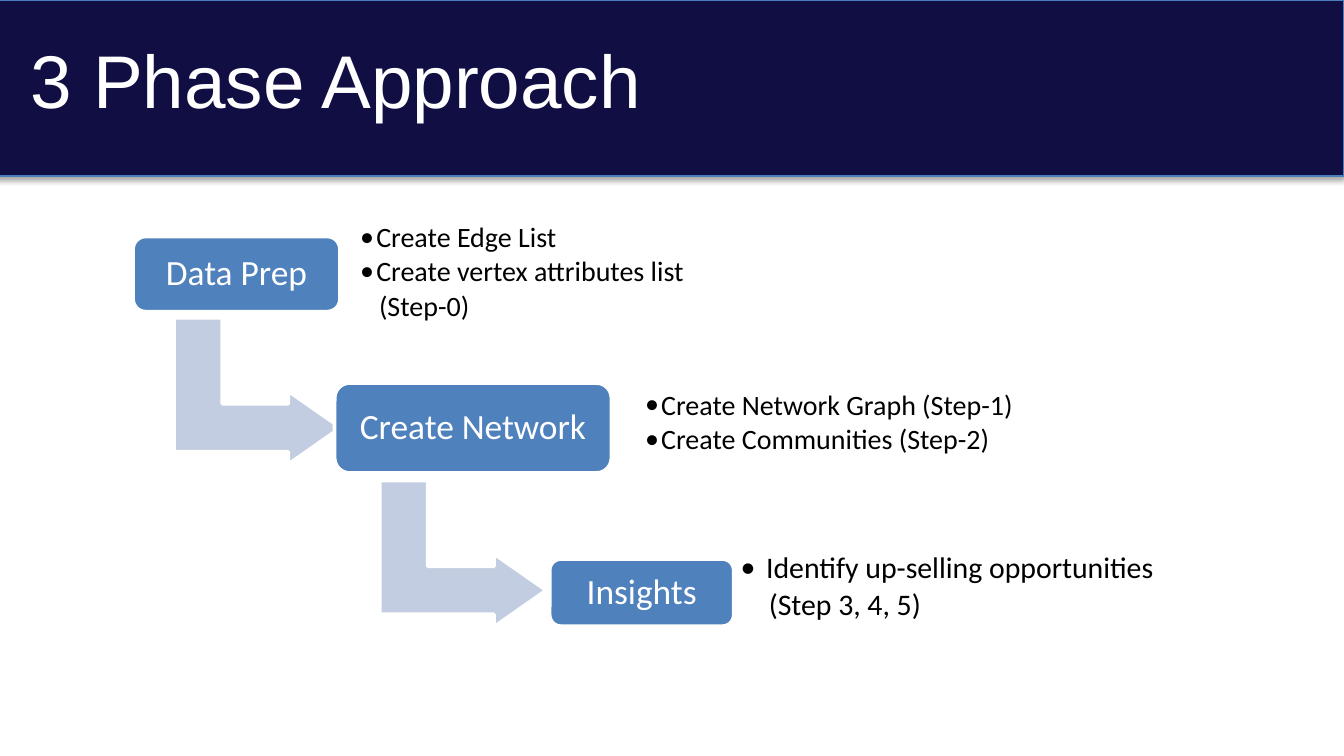
from lxml import etree
from pptx import Presentation
from pptx import util as u
from pptx.dml.color import RGBColor
from pptx.enum import shapes, text
from pptx.oxml import parse_xml
from pptx.oxml.ns import nsdecls, qn

NAVY = RGBColor(0x10, 0x0E, 0x42)
BAND_EDGE = RGBColor(0x4B, 0x7E, 0xBC)
BLUE = RGBColor(0x4F, 0x81, 0xBD)
PALE = RGBColor(0xC2, 0xCD, 0xE1)
WHITE = RGBColor(0xFF, 0xFF, 0xFF)
BLACK = RGBColor(0, 0, 0)

TITLE = "3 Phase Approach"
# Boxes are (left, top, width, height) in inches; a note line is (text, has bullet).
PHASES = [
    dict(name="Data Prep", box=(0.99, 1.76, 1.54, 0.56),
         note_box=(2.6, 1.51, 3.12, 1.04), size=15, hang=0.12, inset=0.08,
         notes=[("Create Edge List", True),
                ("Create vertex attributes list", True),
                ("(Step-0)", False)]),
    dict(name="Create Network", box=(2.49, 2.85, 2.06, 0.67),
         note_box=(4.72, 2.63, 4.07, 1.04), size=15, hang=0.12, inset=0.08,
         notes=[("Create Network Graph (Step-1)", True),
                ("Create Communities (Step-2)", True)]),
    dict(name="Insights", box=(4.09, 4.16, 1.37, 0.5),
         note_box=(5.44, 3.85, 3.92, 1.04), size=16, hang=0.19, inset=0.07,
         notes=[("Identify up-selling opportunities", True),
                ("(Step 3, 4, 5)", False)]),
]
ARROWS = [(1.37, 2.29), (2.9, 3.5)]
ARROW_SIZE = (1.09, 1.24)
STEP_INDENT = 0.02  # extra indent of a note line without a bullet


def inches(values):
    return [u.Inches(value) for value in values]


def add_span(para, words, font, size, color):
    span = para.add_run()
    span.text = words
    span.font.name = font
    span.font.size = u.Pt(size)
    span.font.color.rgb = color


def add_filled(slide, kind, box, fill, edge, edge_width):
    shape = slide.shapes.add_shape(kind, *inches(box))
    shape.shadow.inherit = False
    shape.fill.solid()
    shape.fill.fore_color.rgb = fill
    shape.line.color.rgb = edge
    shape.line.width = u.Pt(edge_width)
    return shape


def prepare_frame(shape, inset):
    frame = shape.text_frame
    frame.word_wrap = True
    frame.vertical_anchor = text.MSO_ANCHOR.MIDDLE
    frame.margin_left = frame.margin_right = u.Inches(inset)
    frame.margin_top = frame.margin_bottom = u.Inches(inset)
    return frame


def add_band(slide):
    """Draw the title band with its soft shadow, behind everything else."""
    band = add_filled(slide, shapes.MSO_SHAPE.RECTANGLE,
                      (-0.04, 0, 10.04, 1.31), NAVY, BAND_EDGE, 0.75)
    effects = band._element.spPr.find(qn("a:effectLst"))
    effects.append(parse_xml(
        f'<a:outerShdw {nsdecls("a")} blurRad="{u.Pt(3.1)}" dist="{u.Pt(1.8)}" '
        'dir="5400000" rotWithShape="0"><a:srgbClr val="000000">'
        '<a:alpha val="35000"/></a:srgbClr></a:outerShdw>'))
    slide.shapes._spTree.insert(2, band._element)


def add_title(slide):
    title = slide.shapes.title
    title.left, title.top, title.width, title.height = inches((0.13, 0.19, 5.82, 0.94))
    frame = title.text_frame
    frame.vertical_anchor = text.MSO_ANCHOR.MIDDLE
    frame.margin_bottom = u.Inches(0.12)
    para = frame.paragraphs[0]
    para.alignment = text.PP_ALIGN.LEFT
    para.line_spacing = 0.9
    add_span(para, TITLE, "Arial", 40, WHITE)


def add_arrow(slide, corner):
    arrow = add_filled(slide, shapes.MSO_SHAPE.BENT_UP_ARROW,
                       corner + ARROW_SIZE, PALE, WHITE, 2)
    arrow.rotation = 90
    for index, value in enumerate((0.328, 0.25, 0.358)):
        arrow.adjustments[index] = value


def add_phase(slide, phase):
    box = add_filled(slide, shapes.MSO_SHAPE.ROUNDED_RECTANGLE,
                     phase["box"], BLUE, WHITE, 2)
    para = prepare_frame(box, 0.08).paragraphs[0]
    para.alignment = text.PP_ALIGN.CENTER
    para.line_spacing = 0.9
    add_span(para, phase["name"], "Calibri", 19, WHITE)


def add_notes(slide, phase):
    box = slide.shapes.add_textbox(*inches(phase["note_box"]))
    frame = prepare_frame(box, phase["inset"])
    hang = phase["hang"]
    for index, (words, bulleted) in enumerate(phase["notes"]):
        para = frame.add_paragraph() if index else frame.paragraphs[0]
        para.line_spacing = 0.9
        para.space_after = u.Pt(0.15 * phase["size"])
        props = para._p.get_or_add_pPr()
        if bulleted:
            props.set("marL", str(u.Inches(hang)))
            props.set("indent", str(u.Inches(-hang)))
            etree.SubElement(props, qn("a:buFont")).set("typeface", "Calibri")
            etree.SubElement(props, qn("a:buChar")).set("char", "•")
        else:
            props.set("marL", str(u.Inches(hang + STEP_INDENT)))
        add_span(para, words, "Calibri", phase["size"], BLACK)


def main():
    deck = Presentation()
    deck.slide_width = u.Inches(10)
    deck.slide_height = deck.slide_width * 9 // 16
    slide = deck.slides.add_slide(deck.slide_layouts[5])
    add_band(slide)
    for corner in ARROWS:
        add_arrow(slide, corner)
    for phase in PHASES:
        add_phase(slide, phase)
        add_notes(slide, phase)
    add_title(slide)
    deck.save("out.pptx")


if __name__ == "__main__":
    main()
